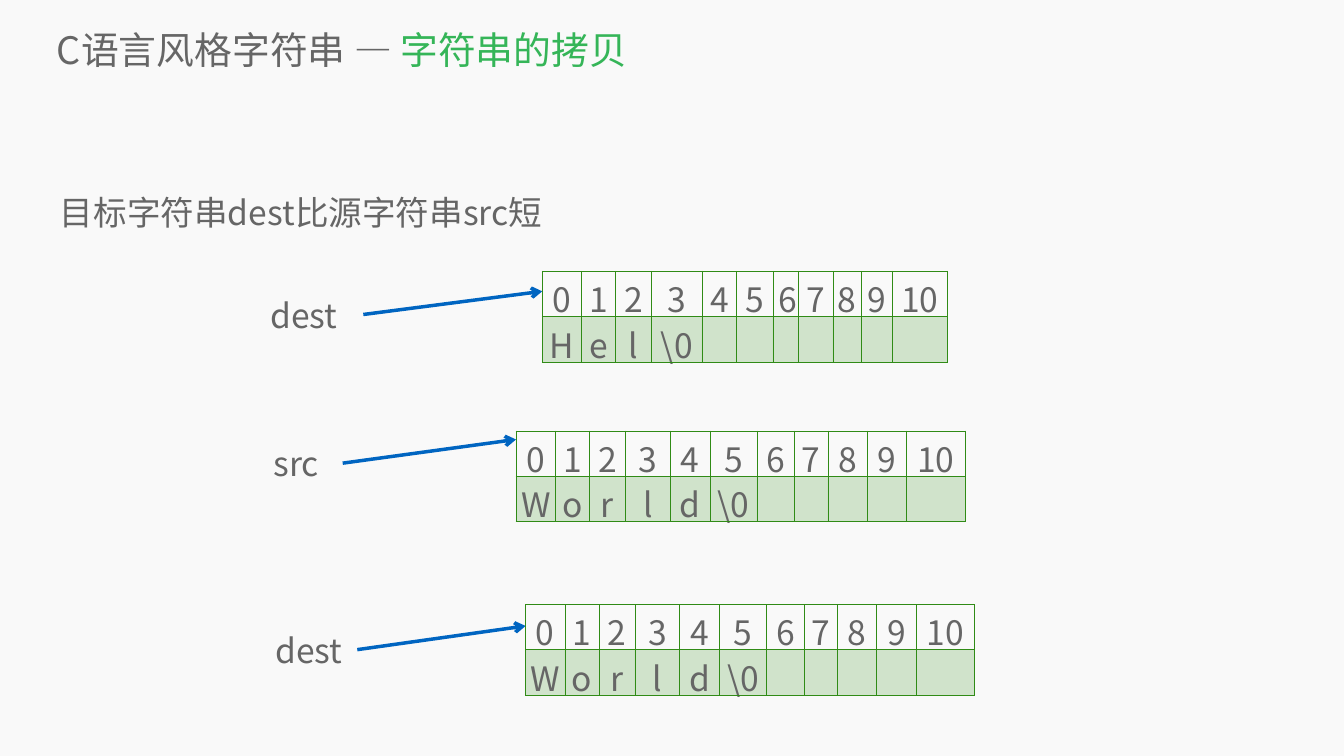
from lxml.etree import SubElement
from pptx import Presentation
from pptx.dml.color import RGBColor
from pptx.enum.shapes import MSO_CONNECTOR
from pptx.enum.text import MSO_ANCHOR, PP_ALIGN
from pptx.oxml.ns import qn
from pptx.util import Inches, Pt

COLORS = {"bg": "F9F9F9", "text": "666666", "accent": "35B558",
          "arrow": "0065C1", "cell": "308B16"}
FONT = "Noto Sans CJK SC"
SHORT_COLS = [0.78, 0.68, 0.71, 1, 0.69, 0.72, 0.5, 0.69, 0.56, 0.62, 1.09]
LONG_COLS = [0.78, 0.68, 0.71, 0.89, 0.79, 0.93, 0.75, 0.66, 0.78, 0.78, 1.16]


def rgb(name):
    """Return the named colour."""
    return RGBColor.from_string(COLORS[name])


def style(p, size):
    """Set the common font on a paragraph."""
    p.font.name = FONT
    p.font.size = Pt(size)
    p.font.color.rgb = rgb("text")


def add_text(s, box, runs, size, anchor=MSO_ANCHOR.TOP, inset=0, wrap=True):
    """Add one paragraph of (text, colour) runs in a box."""
    tf = s.shapes.add_textbox(*map(Inches, box)).text_frame
    tf.word_wrap = wrap
    tf.vertical_anchor = anchor
    tf.margin_left = tf.margin_right = Inches(inset)
    tf.margin_top = tf.margin_bottom = Inches(inset / 2)
    p = tf.paragraphs[0]
    style(p, size)
    for text, color in runs:
        r = p.add_run()
        r.text = text
        r.font.name = FONT
        r.font.color.rgb = rgb(color)
    return p


def add_arrow(s, start, end):
    """Draw an arrow from start to end."""
    c = s.shapes.add_connector(MSO_CONNECTOR.STRAIGHT, *map(Inches, (*start, *end)))
    c.line.color.rgb = rgb("arrow")
    c.line.width = Pt(5)
    SubElement(c.line._get_or_add_ln(), qn("a:tailEnd"), type="arrow")
    SubElement(c._element.spPr, qn("a:effectLst"))


def set_borders(cell):
    """Outline all four sides of a cell."""
    tcPr = cell._tc.get_or_add_tcPr()
    for i, side in enumerate(("lnL", "lnR", "lnT", "lnB")):
        ln = SubElement(tcPr, qn(f"a:{side}"), w=str(Pt(1)))
        fill = SubElement(ln, qn("a:solidFill"))
        SubElement(fill, qn("a:srgbClr"), val=COLORS["cell"])
        tcPr.insert(i, ln)


def add_memory(s, left, top, cols, chars):
    """Add a table of indexes above the characters they hold."""
    frame = s.shapes.add_table(2, len(cols), *map(Inches, (left, top, sum(cols), 1.8)))
    table = frame.table
    table.first_row = table.horz_banding = False
    for col, width in zip(table.columns, cols):
        col.width = Inches(width)
    for row in table.rows:
        row.height = Inches(0.29)
    frame.height = Inches(1.8)
    values = [*map(str, range(len(cols)))], chars + [""] * (len(cols) - len(chars))
    for i, row in enumerate(values):
        for j, text in enumerate(row):
            cell = table.cell(i, j)
            if text:
                cell.text = text
                p = cell.text_frame.paragraphs[0]
                p.alignment = PP_ALIGN.CENTER
                style(p, 48)
            if i == 0:
                cell.fill.background()
            else:
                cell.fill.solid()
                cell.fill.fore_color.rgb = rgb("cell")
                clr = cell._tc.tcPr.find(".//" + qn("a:srgbClr"))
                SubElement(clr, qn("a:alpha"), val="20000")
            set_borders(cell)


def add_string(s, name, label, start, end, table_top, cols, chars):
    """Add a pointer label, its arrow and the memory it points to."""
    add_text(s, (*label, 0.94), [(name, "text")], 48, MSO_ANCHOR.MIDDLE, 0.1, False)
    add_arrow(s, start, end)
    add_memory(s, end[0], table_top, cols, chars)


def add_headings(s):
    """Add the title and the statement below it."""
    add_text(s, (1.13, 0.47, 25.16, 1.02),
             [("C语言风格字符串 — ", "text"), ("字符串的拷贝", "accent")],
             54, MSO_ANCHOR.MIDDLE)
    p = add_text(s, (1.19, 3.49, 24.28, 11.24),
                 [("目标字符串dest比源字符串src短", "text")], 48)
    p.line_spacing = 1.4


def main():
    """Build and save the slide."""
    prs = Presentation()
    prs.slide_width, prs.slide_height = Inches(26.67), Inches(15)
    s = prs.slides.add_slide(prs.slide_layouts[6])
    s.background.fill.solid()
    s.background.fill.fore_color.rgb = rgb("bg")
    add_headings(s)
    world = ["W", "o", "r", "l", "d", "\\0"]
    add_string(s, "dest", (5.27, 5.78, 1.56), (7.21, 6.24), (10.76, 5.78),
               5.38, SHORT_COLS, ["H", "e", "l", "\\0"])
    add_string(s, "src", (5.33, 8.72, 1.21), (6.8, 9.19), (10.24, 8.72),
               8.55, LONG_COLS, world)
    add_string(s, "dest", (5.37, 12.42, 1.56), (7.09, 12.89), (10.43, 12.42),
               11.99, LONG_COLS, world)
    prs.save("out.pptx")


if __name__ == "__main__":
    main()
